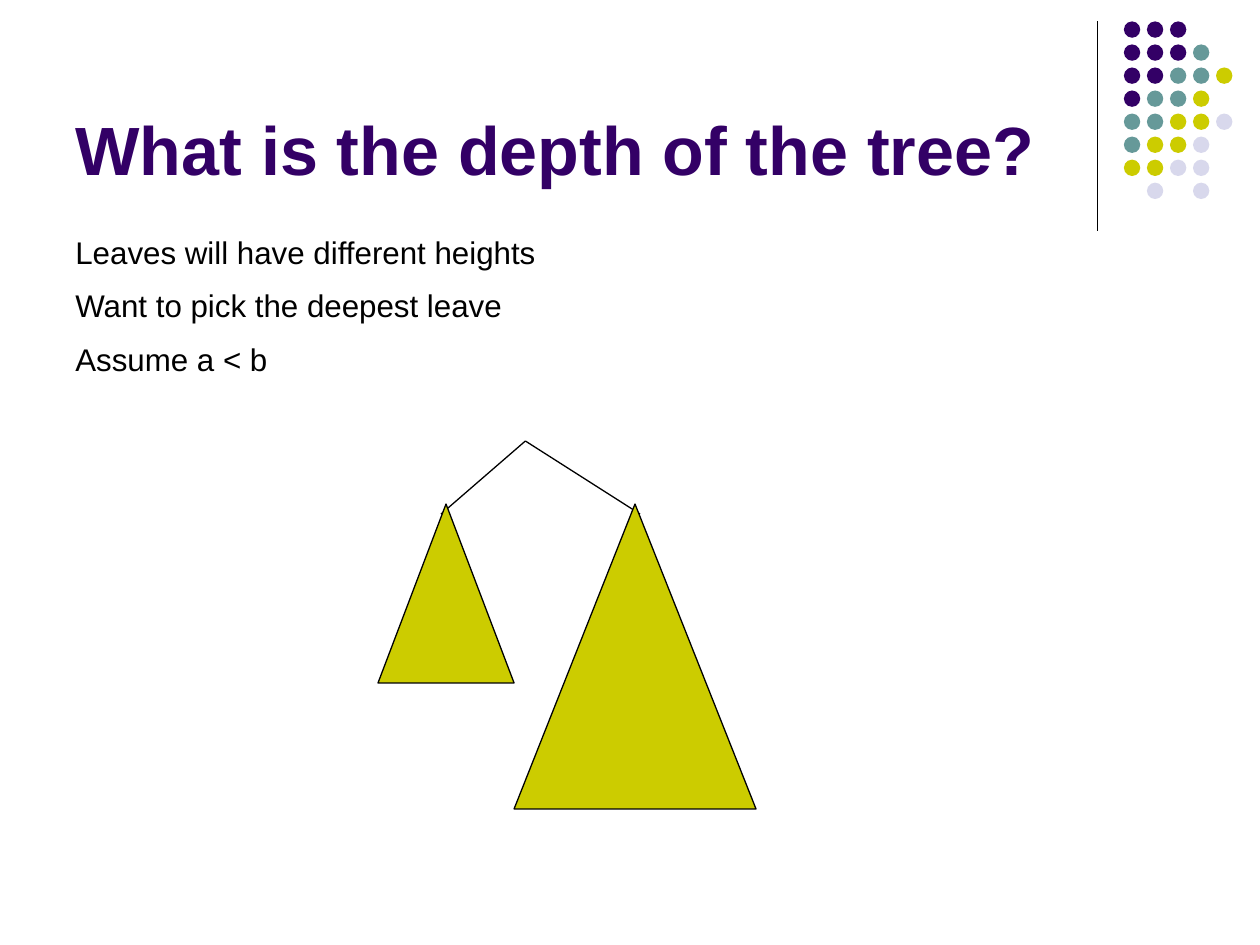
import pptx
import pptx.util
import pptx.dml.color
import pptx.enum.shapes
import pptx.enum.text
from lxml import etree
from pptx.util import Inches

RGBColor = pptx.dml.color.RGBColor
MSO_SHAPE = pptx.enum.shapes.MSO_SHAPE
ANCHOR = pptx.enum.text.MSO_ANCHOR
BLACK = RGBColor(0x00, 0x00, 0x00)
PURPLE = RGBColor(0x33, 0x00, 0x66)
TEAL = RGBColor(0x66, 0x99, 0x99)
OLIVE = RGBColor(0xCC, 0xCC, 0x00)
PALE = RGBColor(0xD8, 0xD8, 0xEC)
THIN = pptx.util.Pt(0.75)


def write(frame, text, size, color, bold=False, anchor=ANCHOR.TOP, pitch=1.0, gap=0):
    """Fill a text frame, one paragraph per line of text."""
    frame.word_wrap = True
    frame.auto_size = pptx.enum.text.MSO_AUTO_SIZE.NONE
    frame.vertical_anchor = anchor
    frame.text = text
    for i, para in enumerate(frame.paragraphs):
        para.alignment = pptx.enum.text.PP_ALIGN.LEFT
        para.line_spacing = pitch
        para.space_before = pptx.util.Pt(gap if i else 0)
        for run in para.runs:
            run.font.name = "Arial"
            run.font.size = pptx.util.Pt(size)
            run.font.bold = bold
            run.font.color.rgb = color


def draw_line(x1, y1, x2, y2):
    line = shapes.add_connector(
        pptx.enum.shapes.MSO_CONNECTOR.STRAIGHT,
        Inches(x1), Inches(y1), Inches(x2), Inches(y2))
    line.line.color.rgb = BLACK
    line.line.width = THIN
    props = line.element.spPr
    etree.SubElement(props, pptx.oxml.ns.qn("a:effectLst"))


deck = pptx.Presentation()
deck.slide_width, deck.slide_height = Inches(10), Inches(7.5)
slide = deck.slides.add_slide(deck.slide_layouts[5])
shapes = slide.shapes

# Corner ornament: a rule and a grid of dots
draw_line(8.71, 0.17, 8.71, 1.83)
hues = {"P": PURPLE, "T": TEAL, "O": OLIVE, "L": PALE}
rows = ["PPP", "PPPT", "PPTTO", "PTTO", "TTOOL", "TOOL", "OOLL", ".L.L"]
dots = shapes.add_group_shape().shapes
step = Inches(1.28) / 7
for r, row in enumerate(rows):
    for c, key in enumerate(row):
        if key in hues:
            dot = dots.add_shape(
                MSO_SHAPE.OVAL, Inches(8.92) + int(c * step),
                Inches(0.17) + int(r * step), Inches(0.13), Inches(0.13))
            dot.shadow.inherit = False
            dot.fill.solid()
            dot.fill.fore_color.rgb = hues[key]
            dot.line.fill.background()

title = shapes.title
title.left, title.top = Inches(0.5), Inches(0.13)
title.width, title.height = Inches(8.25), Inches(1.42)
write(title.text_frame, "What is the depth of the tree?", 39, PURPLE,
      bold=True, anchor=ANCHOR.BOTTOM)

body = shapes.add_textbox(Inches(0.5), Inches(1.88), Inches(9), Inches(1.2))
write(body.text_frame,
      "Leaves will have different heights\nWant to pick the deepest leave\nAssume a < b",
      17.9, BLACK, pitch=0.7, gap=15.6)

# Tree: each branch runs from the root to a subtree
for end, left, width, height in [(3.5, 3, 1.08, 1.42), (5.08, 4.08, 1.92, 2.42)]:
    draw_line(4.17, 3.5, end, 4.08)
    tree = shapes.add_shape(MSO_SHAPE.ISOSCELES_TRIANGLE, Inches(left), Inches(4),
                            Inches(width), Inches(height))
    tree.shadow.inherit = False
    tree.fill.solid()
    tree.fill.fore_color.rgb = OLIVE
    tree.line.color.rgb = BLACK
    tree.line.width = THIN

deck.save("out.pptx")
